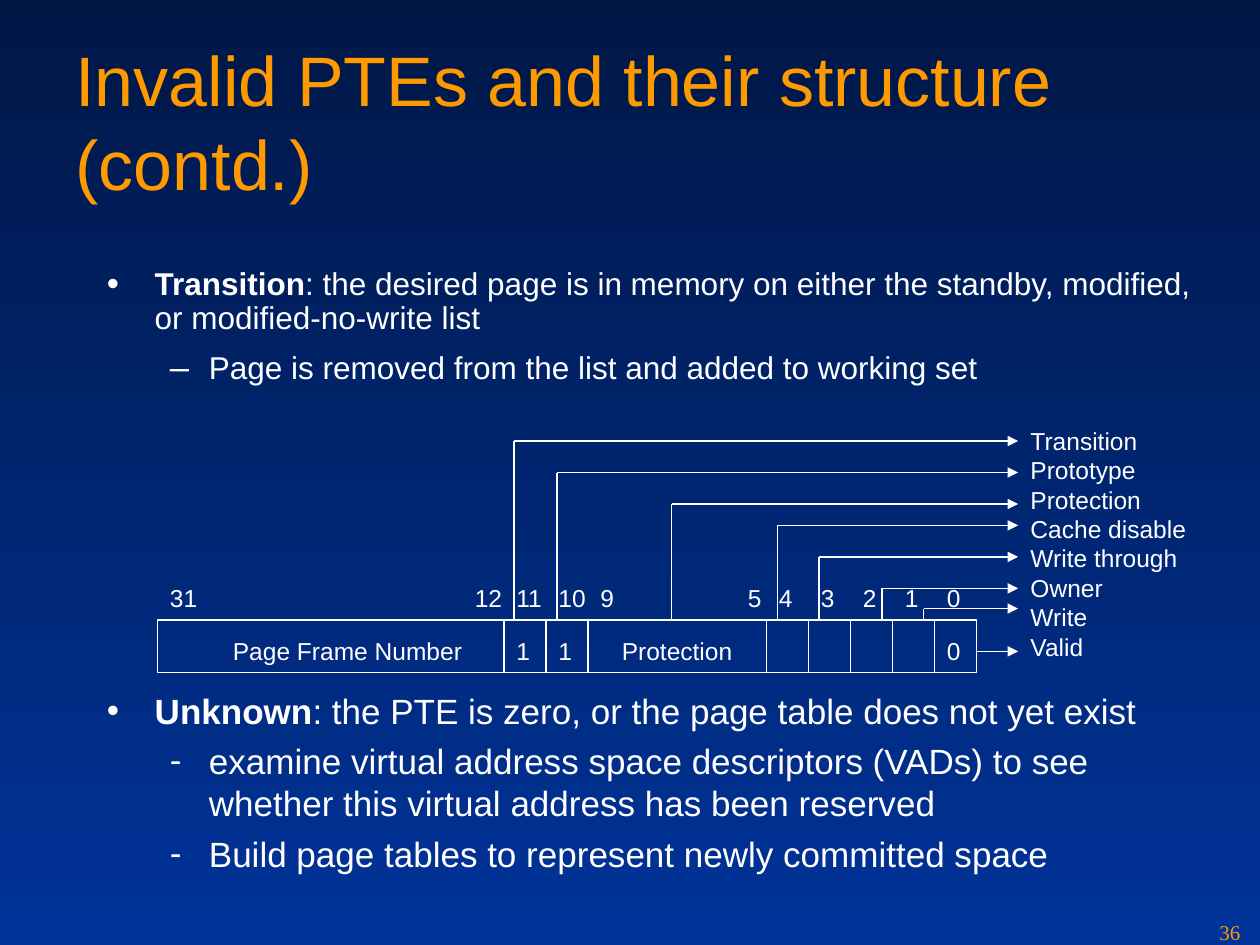
from lxml.etree import SubElement
from pptx import Presentation
from pptx.dml.color import RGBColor
from pptx.enum.shapes import MSO_CONNECTOR as CONNECTOR, MSO_SHAPE as SHAPE
from pptx.enum.text import MSO_ANCHOR as ANCHOR, MSO_AUTO_SIZE as AUTO_SIZE, PP_ALIGN as ALIGN
from pptx.oxml.ns import qn
from pptx.util import Inches, Pt

COLORS = {"top": "001746", "bottom": "003399", "accent": "FE9900", "ink": "FFFFFF"}

TITLE = "Invalid PTEs and their structure (contd.)"
PAGE_NUMBER = "36"

TRANSITION_POINTS = [
    (0, "•", [("Transition", True),
              (": the desired page is in memory on either the standby, modified, "
               "or modified-no-write list", False)]),
    (1, "–", [("Page is removed from the list and added to working set", False)]),
]
UNKNOWN_POINTS = [
    (0, "•", [("Unknown", True),
              (": the PTE is zero, or the page table does not yet exist", False)]),
    (1, "-", [("examine virtual address space descriptors (VADs) to see "
               "whether this virtual address has been reserved", False)]),
    (1, "-", [("Build page tables to represent newly committed space", False)]),
]

# width in twelfths of an inch, (value, offset), [(bit number, offset)]
FIELDS = [
    (33, ("Page Frame Number", 0.5), [("31", 0), ("12", 2.42)]),
    (4, ("1", 0), [("11", 0)]),
    (4, ("1", 0), [("10", 0)]),
    (17, ("Protection", 0.17), [("9", 0), ("5", 1.17)]),
    (4, None, [("4", 0)]),
    (4, None, [("3", 0)]),
    (4, None, [("2", 0)]),
    (4, None, [("1", 0)]),
    (4, ("0", 0), [("0", 0)]),
]
CALLOUTS = [
    ("Transition", 4.08, 3.5),
    ("Prototype", 4.42, 3.75),
    ("Protection", 5.33, 4),
    ("Cache disable", 6.17, 4.17),
    ("Write through", 6.5, 4.42),
    ("Owner", 7, 4.67),
    ("Write", 7.33, 4.83),
    ("Valid", 7.75, 5.17),
]
INDENTS = [(0.38, -0.38), (0.81, -0.31)]
ENTRY_LEFT, ENTRY_TOP, ENTRY_HEIGHT = 1.25, 4.92, 0.42
BITS_TOP, VALUES_TOP, CALLOUT_LEFT = 4.58, 5, 8.08


def rgb(name):
    return RGBColor.from_string(COLORS[name])


def add_bullet(paragraph, level, mark, scale):
    props = paragraph._p.get_or_add_pPr()
    left, first = INDENTS[level]
    props.set("marL", str(Inches(left)))
    props.set("indent", str(Inches(first)))
    bullet_color = SubElement(props, qn("a:buClr"))
    SubElement(bullet_color, qn("a:srgbClr"), val=COLORS["ink"])
    SubElement(props, qn("a:buSzPct"), val=str(scale * 1000))
    SubElement(props, qn("a:buFont"), typeface="Arial")
    SubElement(props, qn("a:buChar"), char=mark)
    paragraph.level = level


def write(frame, paragraphs, size=14, font="Arial", color="ink", wrap=True,
          before=0, after=0, spacing=None, bullet_scale=100):
    frame.word_wrap = wrap
    frame.auto_size = AUTO_SIZE.NONE
    frame.vertical_anchor = ANCHOR.TOP
    for index, content in enumerate(paragraphs):
        paragraph = frame.paragraphs[0] if index == 0 else frame.add_paragraph()
        if isinstance(content, str):
            runs = [(content, False)]
        else:
            level, mark, runs = content
            add_bullet(paragraph, level, mark, bullet_scale)
        paragraph.alignment = ALIGN.LEFT
        paragraph.space_before = Pt(before if index else 0)
        paragraph.space_after = Pt(after)
        if spacing:
            paragraph.line_spacing = spacing
        for words, bold in runs:
            run = paragraph.add_run()
            run.text = words
            run.font.name = font
            run.font.size = Pt(size)
            run.font.bold = bold
            run.font.color.rgb = rgb(color)


def add_text(slide, paragraphs, left, top, width, height, **style):
    box = slide.shapes.add_textbox(*map(Inches, (left, top, width, height)))
    write(box.text_frame, paragraphs, **style)


def add_line(slide, start, end, arrow=False):
    line = slide.shapes.add_connector(CONNECTOR.STRAIGHT, *map(Inches, start + end))
    line.line.color.rgb = rgb("ink")
    line.line.width = Pt(0.75)
    if arrow:
        SubElement(line.line._get_or_add_ln(), qn("a:tailEnd"), type="triangle")
    SubElement(line._element.spPr, qn("a:effectLst"))


def add_field(slide, left, width):
    cell = slide.shapes.add_shape(
        SHAPE.RECTANGLE, *map(Inches, (left, ENTRY_TOP, width, ENTRY_HEIGHT)))
    cell.shadow.inherit = False
    cell.fill.background()
    cell.line.color.rgb = rgb("ink")
    cell.line.width = Pt(0.75)


def add_page_table_entry(slide):
    left = ENTRY_LEFT
    for twelfths, value, bits in FIELDS:
        add_field(slide, left, twelfths / 12)
        labels = [(bit, offset, BITS_TOP) for bit, offset in bits]
        if value:
            labels.append((*value, VALUES_TOP))
        for label, offset, top in labels:
            add_text(slide, [label], left + offset, top,
                     0.21 + 0.1 * len(label), 0.34, wrap=False)
        left += twelfths / 12


def add_callouts(slide):
    for _, x, y in CALLOUTS:
        if y < ENTRY_TOP:
            add_line(slide, (x, ENTRY_TOP), (x, y))
        add_line(slide, (x, y), (CALLOUT_LEFT, y), arrow=True)
    add_text(slide, [name for name, _, _ in CALLOUTS], CALLOUT_LEFT, 3.33, 1.58, 1.97)


def main():
    deck = Presentation()
    deck.slide_width, deck.slide_height = Inches(10), Inches(7.5)
    slide = deck.slides.add_slide(deck.slide_layouts[5])

    backdrop = slide.background.fill
    backdrop.gradient()
    backdrop.gradient_angle = 270
    for stop, name, position in zip(backdrop.gradient_stops, ("top", "bottom"), (0, 1)):
        stop.color.rgb = rgb(name)
        stop.position = position

    title = slide.shapes.title
    title.left, title.top, title.width, title.height = map(Inches, (0.5, 0.24, 9, 1.25))
    write(title.text_frame, [TITLE], size=40, color="accent")

    add_text(slide, TRANSITION_POINTS, 0.75, 2.08, 8.83, 1.17, size=18,
             before=4.5, after=4.5, spacing=0.9, bullet_scale=110)
    add_page_table_entry(slide)
    add_callouts(slide)
    add_text(slide, UNKNOWN_POINTS, 0.75, 5.42, 8.83, 1.58, size=20, before=5)
    add_text(slide, [PAGE_NUMBER], 9.58, 7.25, 0.42, 0.25, size=12,
             font="Times New Roman", color="accent")
    deck.save("out.pptx")


if __name__ == "__main__":
    main()
